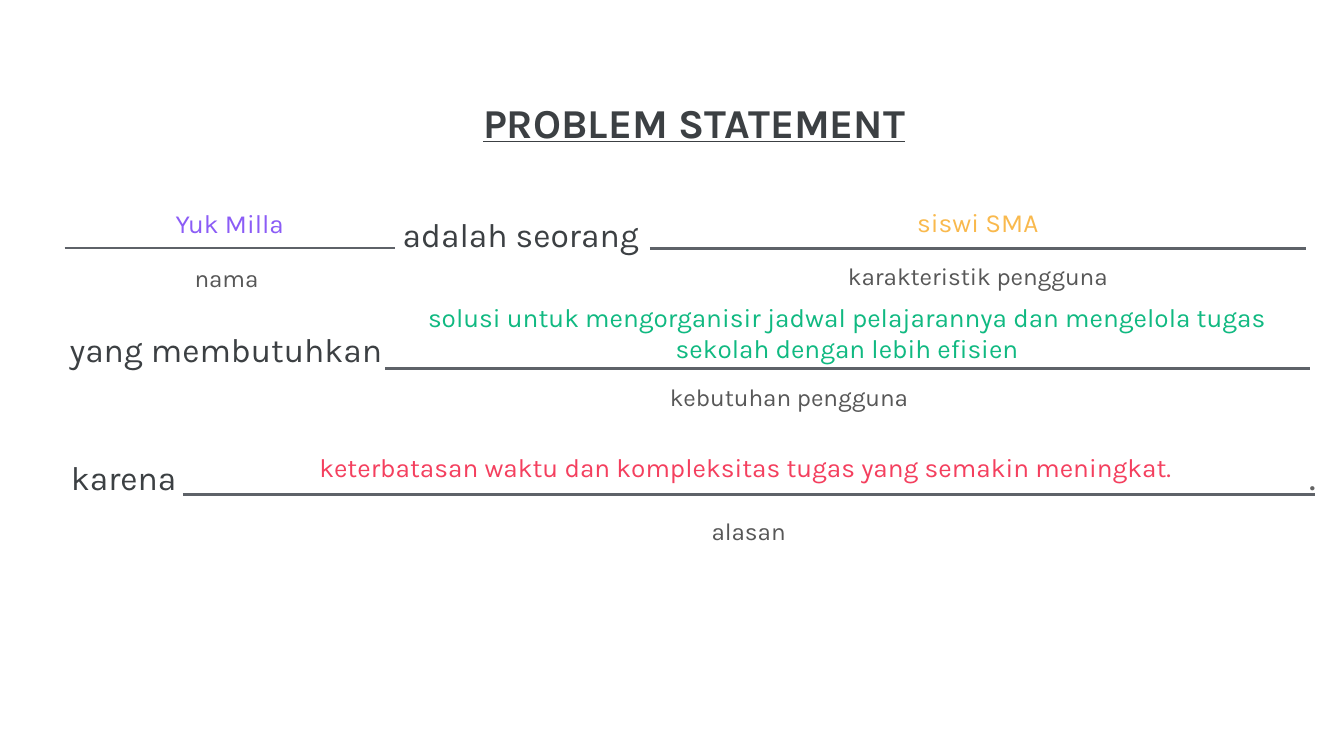
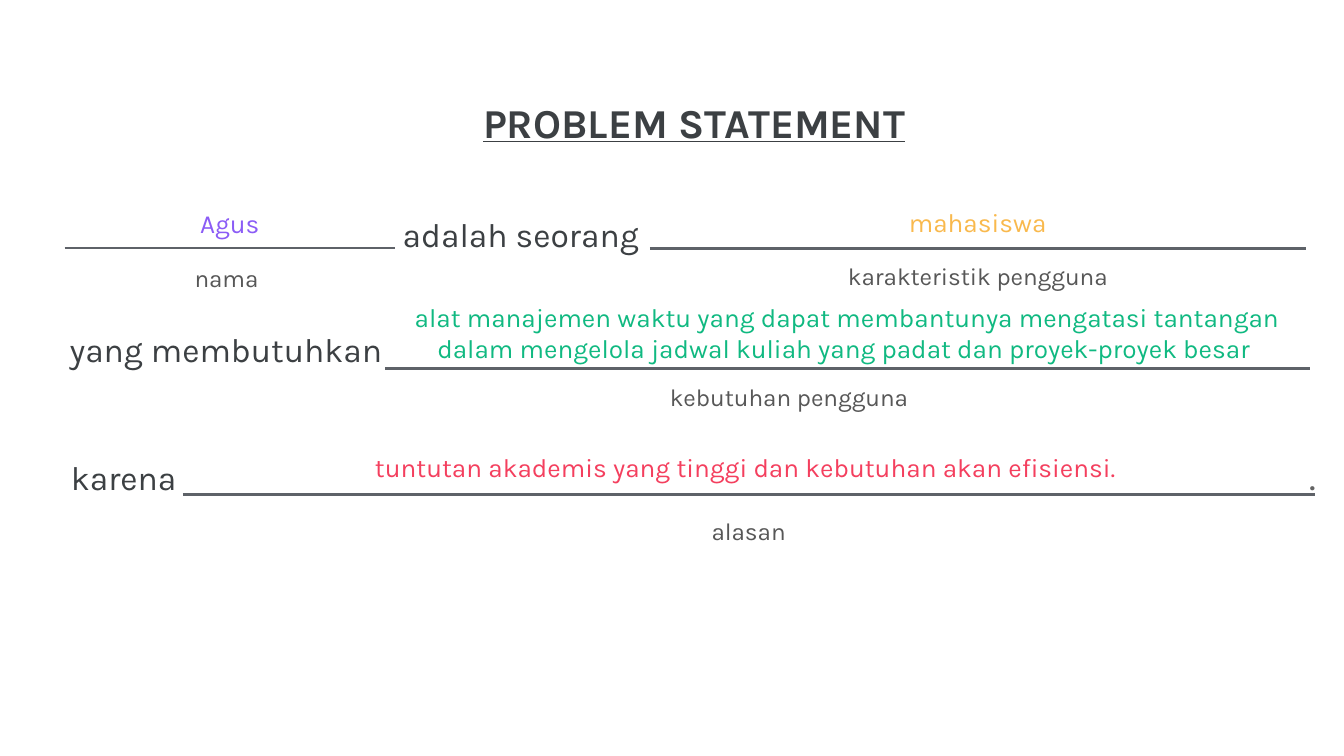
"""Build two problem statement slides, each a fill-in sentence about one user."""
import dataclasses

import lxml.etree
import pptx
import pptx.dml.color
import pptx.enum.shapes
import pptx.enum.text
import pptx.oxml.ns
import pptx.util

PX = 4572
CENTER = pptx.enum.text.PP_ALIGN.CENTER
LEFT = pptx.enum.text.PP_ALIGN.LEFT


@dataclasses.dataclass(frozen=True)
class Theme:
    font: str = "Karla"
    paper: str = "FFFFFF"
    ink: str = "3C4043"
    hint: str = "575757"
    stop: str = "646464"
    rule: str = "5E6268"
    name: str = "8B5CF6"
    trait: str = "F9B94D"
    need: str = "10B981"
    reason: str = "F43F5E"
    title_size: int = 22
    stop_size: int = 20
    phrase_size: int = 18
    answer_size: int = 14
    hint_size: int = 13
    rule_width: float = 1.5


theme = Theme()


def rgb(value):
    return pptx.dml.color.RGBColor.from_string(value)


def write(shape, box, text, size, color, align=CENTER, inset=20, bold=False, underline=False):
    for side, length in zip(("left", "top", "width", "height"), box):
        setattr(shape, side, length * PX)
    frame = shape.text_frame
    frame.text = text
    paragraph = frame.paragraphs[0]
    font = paragraph.runs[0].font
    font.color.rgb = rgb(color)
    margins = dict.fromkeys(("margin_left", "margin_top", "margin_right", "margin_bottom"), inset * PX)
    formats = (
        (frame, {**margins, "word_wrap": True,
                 "auto_size": pptx.enum.text.MSO_AUTO_SIZE.NONE,
                 "vertical_anchor": pptx.enum.text.MSO_ANCHOR.TOP}),
        (paragraph, {"alignment": align, "space_before": pptx.util.Pt(0)}),
        (font, {"name": theme.font, "size": pptx.util.Pt(size), "bold": bold, "underline": underline}),
    )
    for target, values in formats:
        for attribute, value in values.items():
            setattr(target, attribute, value)


hints = (
    ("alasan", (272, 748, 1684, 126)),
    ("kebutuhan pengguna", (398, 549, 1552, 104)),
    ("karakteristik pengguna", (965, 369, 980, 70)),
    ("nama", (86, 372, 502, 70)),
)
phrases = (
    ("karena", (86, 660, 288, 108), theme.phrase_size, theme.ink, LEFT, 20),
    ("adalah seorang", (560, 308, 430, 80), theme.phrase_size, theme.ink, CENTER, 10),
    ("yang membutuhkan", (84, 470, 554, 126), theme.phrase_size, theme.ink, LEFT, 20),
    (".", (1938, 664, 64, 88), theme.stop_size, theme.stop, LEFT, 10),
)
blank_rules = ((96, 588, 369), (967, 1944, 370), (272, 1957, 736), (573, 1950, 549))
answer_slots = (
    ((272, 652, 1676, 84), theme.reason),
    ((573, 428, 1376, 84), theme.need),
    ((100, 288, 484, 84), theme.name),
    ((965, 287, 980, 84), theme.trait),
)
users = (
    (
        "keterbatasan waktu dan kompleksitas tugas yang semakin meningkat.",
        "solusi untuk mengorganisir jadwal pelajarannya dan mengelola tugas sekolah dengan lebih efisien",
        "Yuk Milla",
        "siswi SMA",
    ),
    (
        "tuntutan akademis yang tinggi dan kebutuhan akan efisiensi.",
        "alat manajemen waktu yang dapat membantunya mengatasi tantangan dalam mengelola jadwal kuliah "
        "yang padat dan proyek-proyek besar ",
        "Agus",
        "mahasiswa",
    ),
)

deck = pptx.Presentation()
deck.slide_width = 2000 * PX
deck.slide_height = 1125 * PX
comparison_layout = deck.slide_layouts.get_by_name("Comparison")

for answers in users:
    slide = deck.slides.add_slide(comparison_layout)
    slide.background.fill.solid()
    slide.background.fill.fore_color.rgb = rgb(theme.paper)

    heading = slide.shapes.title
    heading.fill.solid()
    heading.fill.fore_color.rgb = rgb(theme.paper)
    write(heading, (86, 125, 1894, 108), "PROBLEM STATEMENT", theme.title_size, theme.ink,
          bold=True, underline=True)

    for hint, box in hints:
        write(slide.shapes.add_textbox(0, 0, 0, 0), box, hint, theme.hint_size, theme.hint)

    for phrase, box, *style in phrases:
        write(slide.shapes.add_textbox(0, 0, 0, 0), box, phrase, *style)

    for start, end, y in blank_rules:
        blank = slide.shapes.add_connector(
            pptx.enum.shapes.MSO_CONNECTOR.STRAIGHT, start * PX, y * PX, end * PX, y * PX)
        blank.line.color.rgb = rgb(theme.rule)
        blank.line.width = pptx.util.Pt(theme.rule_width)
        lxml.etree.SubElement(blank._element.spPr, pptx.oxml.ns.qn("a:effectLst"))

    for number, (answer, (box, color)) in enumerate(zip(answers, answer_slots), start=1):
        slot = slide.placeholders[number]
        write(slot, box, answer, theme.answer_size, color)
        properties = slot.text_frame.paragraphs[0]._p.get_or_add_pPr()
        for indent in ("marL", "indent"):
            properties.set(indent, "0")
        lxml.etree.SubElement(properties, pptx.oxml.ns.qn("a:buNone"))

deck.save("out.pptx")
